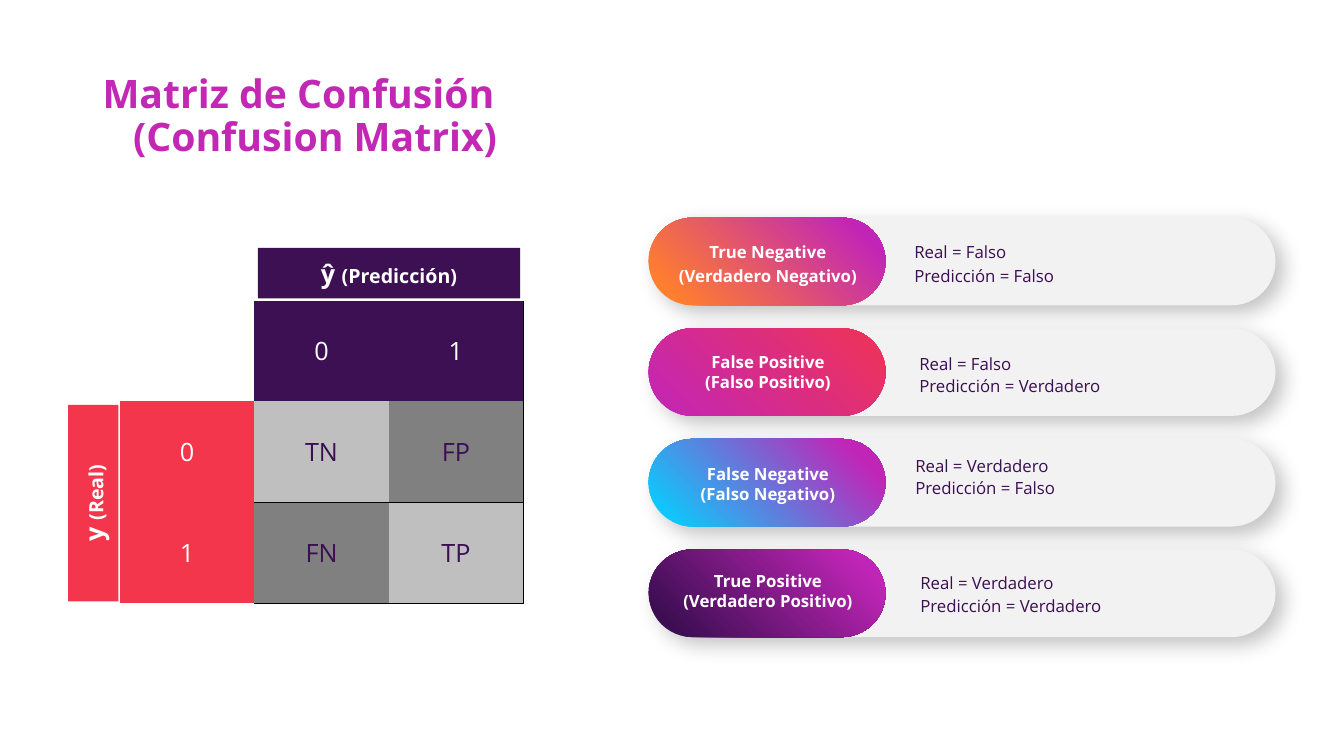
import pptx
import pptx.util
import pptx.dml.color
import pptx.enum.shapes
import pptx.enum.text
import pptx.oxml
import pptx.oxml.ns
from dataclasses import dataclass

Pt = pptx.util.Pt
ALIGN = pptx.enum.text.PP_ALIGN
SHAPE = pptx.enum.shapes.MSO_SHAPE
NS = pptx.oxml.ns.nsdecls("a")


@dataclass(frozen=True)
class Theme:
    font: str = "Open Sans"
    title: str = "C228B4"
    predicted: str = "3C1053"
    real: str = "F4364C"
    ink: str = "3C0E52"
    white: str = "FFFFFF"
    hit: str = "BFBFBF"
    miss: str = "808080"
    bar: str = "F2F2F2"
    magenta: str = "C125B7"
    border: str = "000000"
    title_size: int = 28
    large: int = 18
    medium: int = 14
    small: int = 12


theme = Theme()

title_lines = [("Matriz de Confusión", 0), ("(Confusion Matrix)", 21.8)]
matrix = [["", "0", "1"], ["0", "TN", "FP"], ["1", "FN", "TP"]]
axes = [
    ("y\u0302 ", "(Predicción)", theme.predicted, (184.3, 177.1, 187.2, 36), 0),
    ("y ", "(Real)", theme.real, (-3.6, 341.3, 140.4, 36), 270),
]
outcomes = [
    dict(label=["True Negative", "(Verdadero Negativo)"], label_spacing=1.2, label_shift=0,
         detail=["Real = Falso", "Predicción = Falso"], detail_spacing=1.2,
         detail_left=643.7, detail_shift=0,
         gradient=[(0.10, "FF7F2E"), (0.89, theme.magenta)]),
    dict(label=["False Positive", "(Falso Positivo)"], label_spacing=1, label_shift=0,
         detail=["Real = Falso", "Predicción = Verdadero"], detail_spacing=1.1,
         detail_left=647.3, detail_shift=1,
         gradient=[(0, theme.magenta), (1, "F03455")]),
    dict(label=["False Negative", "(Falso Negativo)"], label_spacing=1, label_shift=1.1,
         detail=["Real = Verdadero", "Predicción = Falso"], detail_spacing=1.1,
         detail_left=644.4, detail_shift=-4.6,
         gradient=[(0.08, "0DC9FD"), (0.87, theme.magenta)]),
    dict(label=["True Positive", "(Verdadero Positivo)"], label_spacing=1, label_shift=-1.5,
         detail=["Real = Verdadero", "Predicción = Verdadero"], detail_spacing=1.1,
         detail_left=648, detail_shift=0,
         gradient=[(0.10, "3C0E52"), (0.89, theme.magenta)]),
]

deck = pptx.Presentation()
deck.slide_width, deck.slide_height = Pt(960), Pt(540)
slide = deck.slides.add_slide(deck.slide_layouts[6])


def rgb(color):
    return pptx.dml.color.RGBColor.from_string(color)


def style(font, size, color, bold=False):
    font.name, font.size, font.bold = theme.font, Pt(size), bold
    font.color.rgb = rgb(color)


def set_frame(frame, across, down):
    frame.word_wrap = True
    frame.vertical_anchor = pptx.enum.text.MSO_ANCHOR.MIDDLE
    frame.margin_left = frame.margin_right = Pt(across)
    frame.margin_top = frame.margin_bottom = Pt(down)


def add_text(lines, box, size, color, bold, align, spacing, insets):
    frame = slide.shapes.add_textbox(*map(Pt, box)).text_frame
    set_frame(frame, *insets)
    frame.text = "\n".join(lines)
    for paragraph in frame.paragraphs:
        paragraph.alignment, paragraph.line_spacing = align, spacing
        style(paragraph.font, size, color, bold)
    return frame


def add_block(preset, box, color=None):
    block = slide.shapes.add_shape(preset, *map(Pt, box))
    block.shadow.inherit = False
    block.line.fill.background()
    if color:
        block.fill.solid()
        block.fill.fore_color.rgb = rgb(color)
    return block


def add_pill(box, color=None):
    pill = add_block(SHAPE.ROUNDED_RECTANGLE, box, color)
    pill.adjustments[0] = 0.5
    return pill


def cast_shadow(block):
    effects = block._element.spPr.find(pptx.oxml.ns.qn("a:effectLst"))
    effects.append(pptx.oxml.parse_xml(
        f'<a:outerShdw {NS} blurRad="{Pt(14.8)}" dist="{Pt(7)}" dir="2700000" '
        f'algn="tl" rotWithShape="0"><a:srgbClr val="{theme.border}">'
        '<a:alpha val="23000"/></a:srgbClr></a:outerShdw>'))


def add_border(cell, side):
    cell._tc.get_or_add_tcPr().append(pptx.oxml.parse_xml(
        f'<a:{side} {NS} w="{Pt(0.75)}"><a:solidFill>'
        f'<a:srgbClr val="{theme.border}"/></a:solidFill></a:{side}>'))


title = add_text([line for line, _ in title_lines], (66.2, 51.1, 828, 65.5),
                 theme.title_size, theme.title, True, ALIGN.LEFT, 0.9, (7.2, 3.6))
for paragraph, (_, indent) in zip(title.paragraphs, title_lines):
    paragraph._p.get_or_add_pPr().set("marL", str(Pt(indent)))

grid = slide.shapes.add_table(3, 3, Pt(85.7), Pt(214.7), Pt(288), Pt(216)).table
grid._tbl.tblPr.find(pptx.oxml.ns.qn("a:tableStyleId")).text = \
    "{2D5ABB26-0587-4C30-8999-92F81FD0307C}"
grid.first_row = grid.horz_banding = False
for r, row in enumerate(matrix):
    for c, text in enumerate(row):
        cell = grid.cell(r, c)
        if r and c:
            fill, color = theme.hit if r == c else theme.miss, theme.ink
        else:
            fill, color = theme.real if r else theme.predicted, theme.white
        if c == 2:
            add_border(cell, "lnR")
        if r and c:
            add_border(cell, "lnB")
        if not text:
            cell.fill.background()
            continue
        cell.fill.solid()
        cell.fill.fore_color.rgb = rgb(fill)
        cell.vertical_anchor = pptx.enum.text.MSO_ANCHOR.MIDDLE
        cell.margin_left = cell.margin_right = cell.margin_top = cell.margin_bottom = Pt(3.6)
        cell.text = text
        cell.text_frame.paragraphs[0].alignment = ALIGN.CENTER
        style(cell.text_frame.paragraphs[0].font, theme.large, color)

for symbol, meaning, color, box, rotation in axes:
    axis = add_block(SHAPE.RECTANGLE, box, color)
    axis.rotation = rotation
    set_frame(axis.text_frame, 3.6, 3.6)
    paragraph = axis.text_frame.paragraphs[0]
    paragraph.alignment = ALIGN.CENTER
    for text, size in ((symbol, theme.large), (meaning, theme.medium)):
        run = paragraph.add_run()
        run.text = text
        style(run.font, size, theme.white, True)

pill_left, first_top, pitch, pill_height = 463.3, 155.5, 79, 62.6
for i, outcome in enumerate(outcomes):
    top = first_top + i * pitch
    cast_shadow(add_pill((pill_left + 0.7, top, 447.1, pill_height), theme.bar))
    cap = add_pill((pill_left, top, 169.2, pill_height))
    cap.fill.gradient()
    cap.fill.gradient_angle = 45
    for stop, (position, color) in zip(cap.fill.gradient_stops, outcome["gradient"]):
        stop.position, stop.color.rgb = position, rgb(color)
    add_text(outcome["detail"],
             (outcome["detail_left"], top + outcome["detail_shift"], 262.8, pill_height),
             theme.small, theme.ink, False, ALIGN.LEFT, outcome["detail_spacing"], (9.4, 5))
    add_text(outcome["label"],
             (473, top + outcome["label_shift"], 151.2, pill_height),
             theme.small, theme.white, True, ALIGN.CENTER, outcome["label_spacing"], (9.4, 5))

deck.save("out.pptx")
